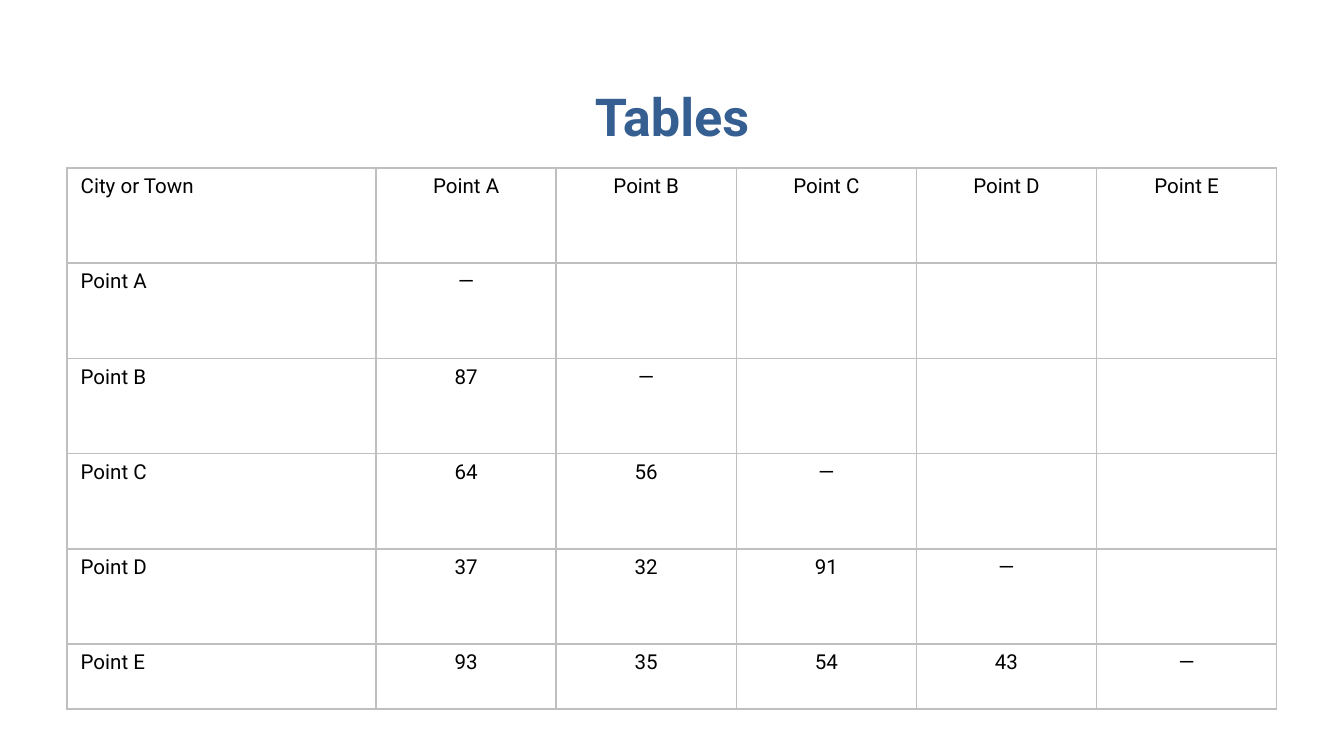
import pptx
import pptx.dml.color
import pptx.enum.text
import pptx.oxml
import pptx.oxml.ns
import pptx.util

Pt = pptx.util.Pt
ALIGN = pptx.enum.text.PP_ALIGN
ANCHOR = pptx.enum.text.MSO_ANCHOR


def color(code):
    return pptx.dml.color.RGBColor.from_string(code)


class Deck:
    face = "Roboto"
    ink = "000000"
    blue = "365F91"
    rule = "BFBFBF"

    def __init__(self, wide, high):
        self.file = pptx.Presentation()
        self.file.slide_width = Pt(wide)
        self.file.slide_height = Pt(high)
        self.slide = self.file.slides.add_slide(self.file.slide_layouts[5])

    def style(self, para, size, tint, align, bold=False):
        para.alignment = align
        for run in para.runs:
            run.font.name = self.face
            run.font.size = Pt(size)
            run.font.bold = bold
            run.font.color.rgb = color(tint)

    def title(self, text, left, top, wide, high):
        shape = self.slide.shapes.title
        shape.left, shape.top = Pt(left), Pt(top)
        shape.width, shape.height = Pt(wide), Pt(high)
        frame = shape.text_frame
        frame.text = text
        frame.word_wrap = True
        frame.auto_size = pptx.enum.text.MSO_AUTO_SIZE.NONE
        frame.vertical_anchor = ANCHOR.BOTTOM
        frame.margin_left = frame.margin_right = 0
        frame.margin_top = frame.margin_bottom = 0
        self.style(frame.paragraphs[0], 28, self.blue, ALIGN.CENTER, True)

    def border(self, cell):
        props = cell._tc.get_or_add_tcPr()
        for side in ("lnL", "lnR", "lnT", "lnB"):
            props.append(pptx.oxml.parse_xml(
                f'<a:{side} {pptx.oxml.ns.nsdecls("a")} w="{Pt(1)}">'
                f'<a:solidFill><a:srgbClr val="{self.rule}"/></a:solidFill>'
                f'</a:{side}>'))

    def table(self, data, left, top, cols, rows):
        table = self.slide.shapes.add_table(
            len(rows), len(cols), Pt(left), Pt(top),
            Pt(sum(cols)), Pt(sum(rows))).table
        table.first_row = table.horz_banding = False
        for col, wide in zip(table.columns, cols):
            col.width = Pt(wide)
        for row, high, texts in zip(table.rows, rows, data):
            row.height = Pt(high)
            for spot, cell in enumerate(row.cells):
                self.border(cell)
                cell.fill.background()
                if spot < len(texts):
                    cell.text_frame.text = texts[spot]
                    align = ALIGN.CENTER if spot else ALIGN.LEFT
                    self.style(cell.text_frame.paragraphs[0],
                               11, self.ink, align)


def main():
    deck = Deck(720, 405)
    deck.title("Tables", 36, 22.5, 648, 56)
    towns = [f"Point {mark}" for mark in "ABCDE"]
    miles = [[], ["87"], ["64", "56"], ["37", "32", "91"],
             ["93", "35", "54", "43"]]
    data = [["City or Town", *towns]]
    data += [[town, *gaps, "—"] for town, gaps in zip(towns, miles)]
    deck.table(data, 36, 90, [165.5] + [96.5] * 5, [51] * 5 + [35])
    deck.file.save("out.pptx")


if __name__ == "__main__":
    main()
